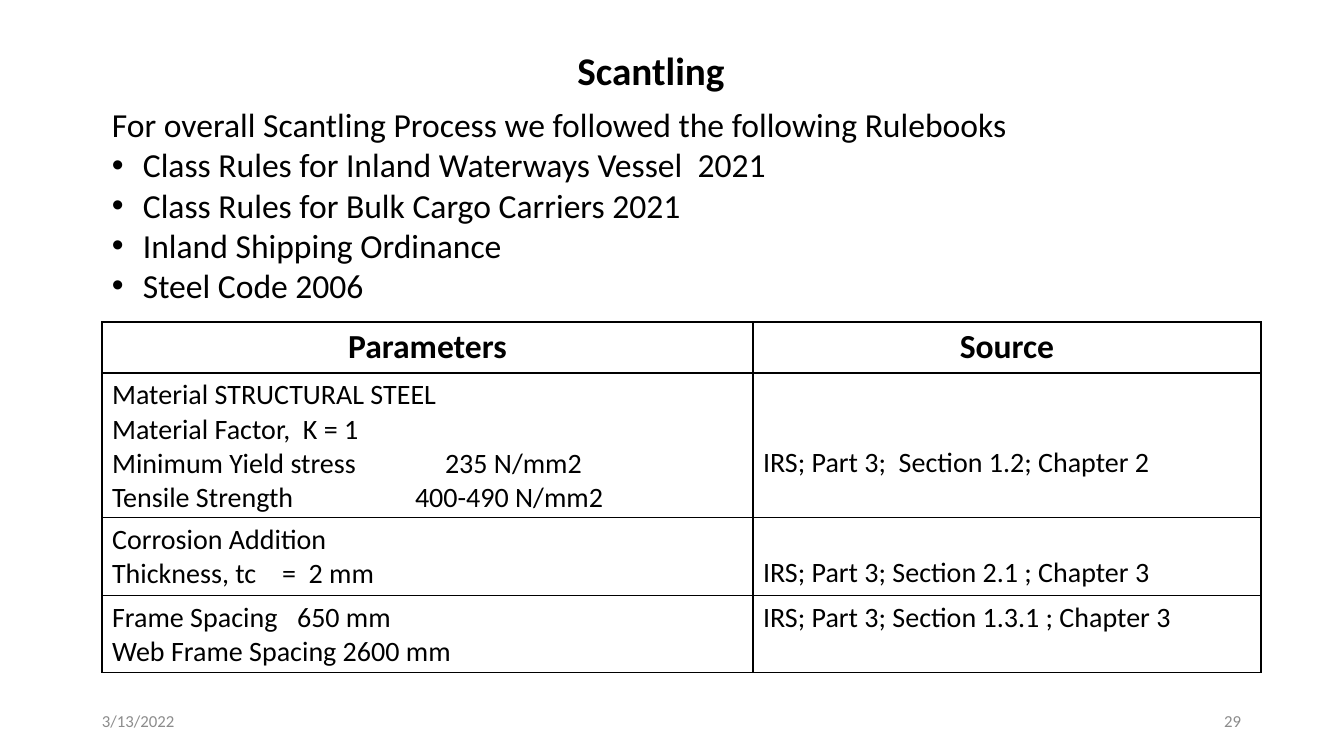
from pptx import Presentation
from pptx.dml.color import RGBColor
from pptx.enum.text import MSO_ANCHOR, MSO_AUTO_SIZE, PP_ALIGN
from pptx.oxml import parse_xml
from pptx.oxml.ns import nsdecls
from pptx.util import Pt

PX = 914400 / 100.8
COLORS = {"ink": "000000", "footer": "8C8C8C"}


def px(*lengths):
    return [round(length * PX) for length in lengths]


def write(frame, lines, size, color="ink", bold=False, align=PP_ALIGN.LEFT, tabs=()):
    """Fill a text frame; a line that starts with a bullet sign becomes a list item."""
    frame.word_wrap = True
    for index, line in enumerate(lines):
        para = frame.paragraphs[0] if index == 0 else frame.add_paragraph()
        para.alignment = align
        properties = para._p.get_or_add_pPr()
        if line.startswith("•"):
            indent = px(31)[0]
            properties.set("marL", str(indent))
            properties.set("indent", str(-indent))
            properties.append(parse_xml(f'<a:buFont {nsdecls("a")} typeface="Arial"/>'))
            properties.append(parse_xml(f'<a:buChar {nsdecls("a")} char="•"/>'))
        if "\t" in line:
            stop = px(tabs[index])[0]
            properties.append(parse_xml(
                f'<a:tabLst {nsdecls("a")}><a:tab pos="{stop}" algn="l"/></a:tabLst>'))
        span = para.add_run()
        span.text = line.removeprefix("•")
        for name, value in {"name": "Calibri", "size": Pt(size), "bold": bold}.items():
            setattr(span.font, name, value)
        span.font.color.rgb = RGBColor.from_string(COLORS[color])


deck = Presentation()
deck.slide_width, deck.slide_height = px(1344, 756)
page = deck.slides.add_slide(deck.slide_layouts[5])

# Title
title = page.shapes.title
title.left, title.top, title.width, title.height = px(561, 41, 180, 57)
title.text_frame.auto_size = MSO_AUTO_SIZE.NONE
title.text_frame.vertical_anchor = MSO_ANCHOR.MIDDLE
write(title.text_frame, ["Scantling"], 28, bold=True, align=PP_ALIGN.CENTER)

# Rulebooks
rulebooks = page.shapes.add_textbox(*px(102, 99, 1183, 220))
write(rulebooks.text_frame, [
    "For overall Scantling Process we followed the following Rulebooks",
    "•Class Rules for Inland Waterways Vessel  2021",
    "•Class Rules for Bulk Cargo Carriers 2021",
    "•Inland Shipping Ordinance",
    "•Steel Code 2006",
], 24)

# Parameter table: parameter lines, their tab stops, source
rows = [
    (["Material STRUCTURAL STEEL", "Material Factor,  K = 1",
      "Minimum Yield stress\t235 N/mm2", "Tensile Strength\t400-490 N/mm2"],
     [0, 0, 333, 303], "IRS; Part 3;  Section 1.2; Chapter 2"),
    (["Corrosion Addition", "Thickness, tc\t=  2 mm"],
     [0, 170], "IRS; Part 3; Section 2.1 ; Chapter 3"),
    (["Frame Spacing\t650 mm", "Web Frame Spacing 2600 mm"],
     [185, 0], "IRS; Part 3; Section 1.3.1 ; Chapter 3"),
]
table = page.shapes.add_table(4, 2, *px(102, 322, 1159, 350)).table
table.first_row = table.horz_banding = False
for column, width in zip(table.columns, px(651, 508)):
    column.width = width
for row, height in zip(table.rows, px(51, 144, 78, 77)):
    row.height = height

for column, heading in enumerate(["Parameters", "Source"]):
    write(table.cell(0, column).text_frame, [heading], 24, bold=True, align=PP_ALIGN.CENTER)
for index, (parameters, tabs, source) in enumerate(rows, start=1):
    write(table.cell(index, 0).text_frame, parameters, 20, tabs=tabs)
    write(table.cell(index, 1).text_frame, [source], 20)
table.cell(1, 1).margin_top = px(73)[0]
table.cell(2, 1).vertical_anchor = MSO_ANCHOR.BOTTOM

# Cell borders
for cell in table.iter_cells():
    properties = cell._tc.get_or_add_tcPr()
    for side in ("lnL", "lnR", "lnT", "lnB"):
        properties.append(parse_xml(
            f'<a:{side} {nsdecls("a")} w="12700"><a:solidFill>'
            f'<a:srgbClr val="{COLORS["ink"]}"/></a:solidFill></a:{side}>'))
    cell.fill.background()

# Date and page number
for left, text, align in [(92, "3/13/2022", PP_ALIGN.LEFT), (949, "29", PP_ALIGN.RIGHT)]:
    box = page.shapes.add_textbox(*px(left, 701, 302, 40))
    box.text_frame.vertical_anchor = MSO_ANCHOR.MIDDLE
    write(box.text_frame, [text], 12, color="footer", align=align)

deck.save("out.pptx")
